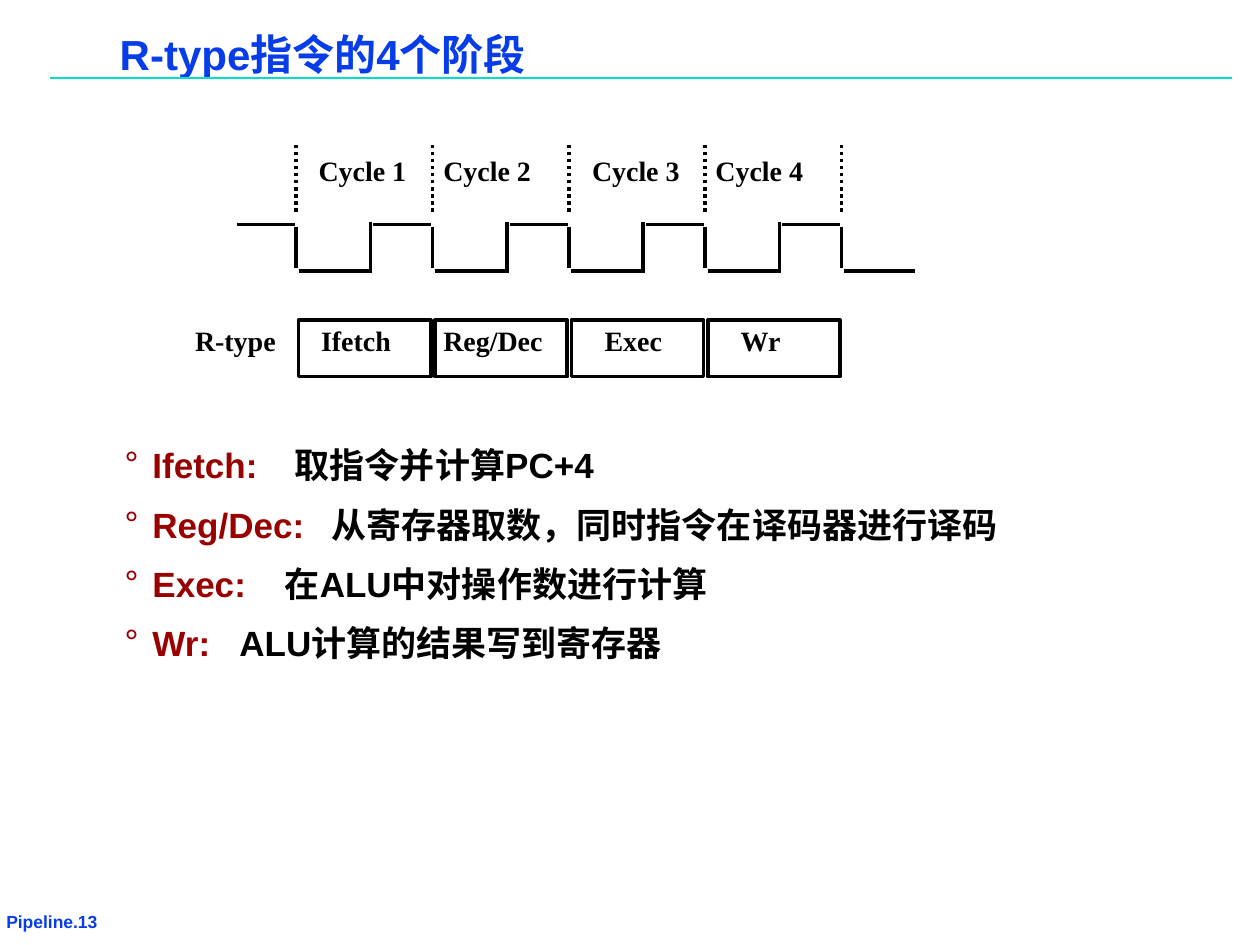
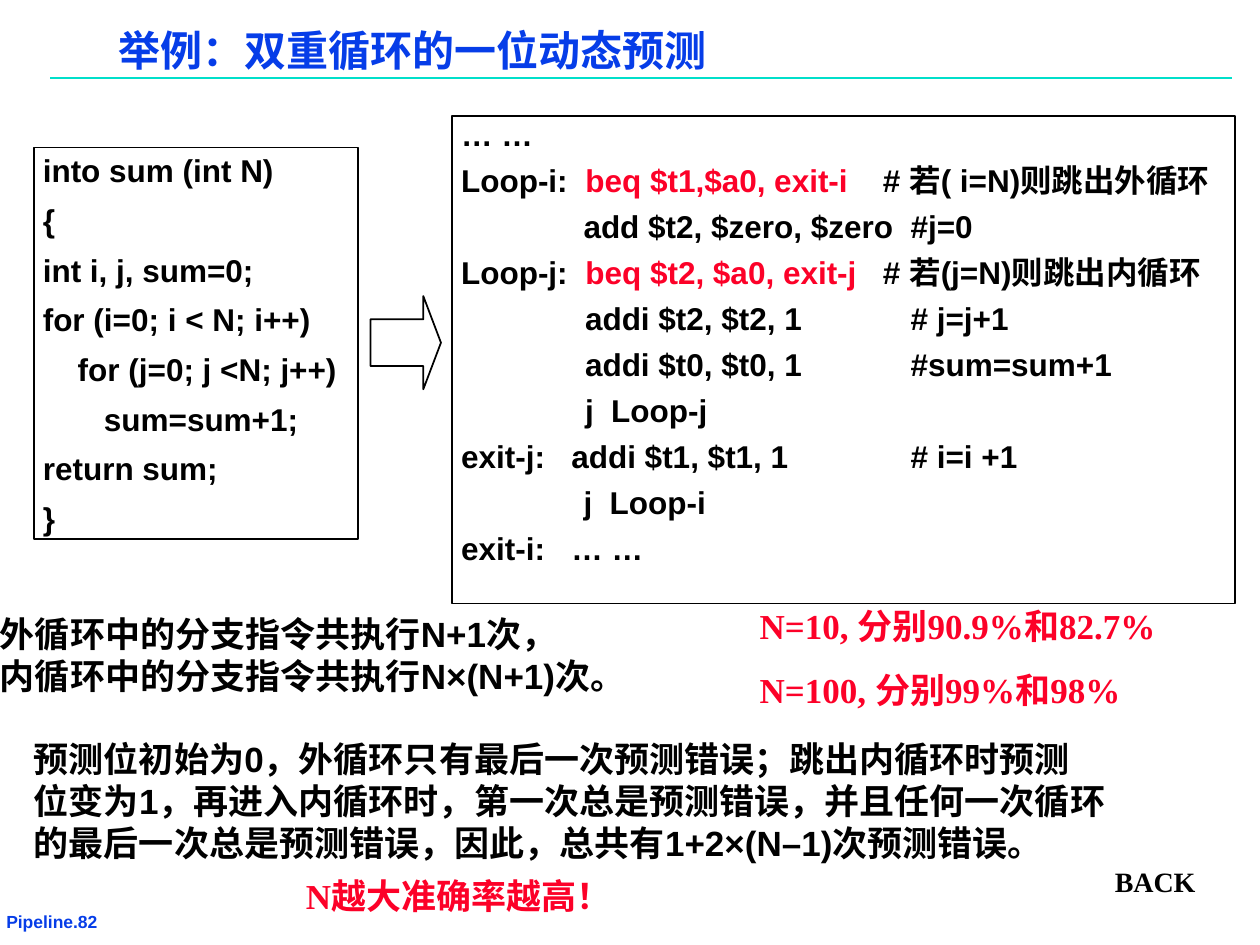
from lxml import etree
from pptx import Presentation
from pptx.dml.color import RGBColor
from pptx.enum.dml import MSO_LINE
from pptx.enum.shapes import MSO_CONNECTOR, MSO_SHAPE
from pptx.enum.text import MSO_ANCHOR, MSO_AUTO_SIZE, PP_ALIGN
from pptx.oxml.ns import qn
from pptx.util import Inches, Pt

STRAIGHT = MSO_CONNECTOR.STRAIGHT
RECT, RIGHT_ARROW = MSO_SHAPE.RECTANGLE, MSO_SHAPE.RIGHT_ARROW
DOTTED = MSO_LINE.ROUND_DOT
TOP, MIDDLE = MSO_ANCHOR.TOP, MSO_ANCHOR.MIDDLE

BLUE = RGBColor(0x06, 0x3D, 0xE8)
TEAL = RGBColor(0x00, 0xDF, 0xCA)
BLACK = RGBColor(0x00, 0x00, 0x00)
DARK_RED = RGBColor(0x99, 0x00, 0x00)
RED = RGBColor(0xFC, 0x01, 0x28)

SANS, SERIF = "Arial", "Times New Roman"
TIGHT, NORMAL, NONE = (0.07, 0.03), (0.1, 0.05), (0, 0)
INDENT = 0.22

# Clock diagram geometry
CYCLES = 4
CLOCK_START, CLOCK_END = 2.35, 6.68
PERIOD = (CLOCK_END - CLOCK_START) / CYCLES
HIGH_Y, LOW_Y = 1.78, 2.15

CYCLE_LABELS = [("Cycle 1", 2.43), ("Cycle 2", 3.42),
                ("Cycle 3", 4.6), ("Cycle 4", 5.58)]
STAGE_LABELS = [("R-type", 1.45, 0.84), ("Ifetch", 2.45, 0.75),
                ("Reg/Dec", 3.42, 0.99), ("Exec", 4.7, 0.65),
                ("Wr", 5.78, 0.52)]

# Stage name, explanation, tab stop between them
STAGES = [("Ifetch:", "取指令并计算PC+4", 1.35),
          ("Reg/Dec:", "从寄存器取数，同时指令在译码器进行译码", 1.64),
          ("Exec:", "在ALU中对操作数进行计算", 1.27),
          ("Wr:", "ALU计算的结果写到寄存器", 0.91)]

C_CODE = ["into sum (int N)", "{", "int i, j, sum=0;",
          "for (i=0; i < N; i++)", "    for (j=0; j <N; j++)",
          "       sum=sum+1;", "return sum;", "}"]

ASSEMBLY = [
    "… …",
    [("Loop-i:  ", BLACK), ("beq $t1,$a0, exit-i", RED),
     ("    # 若( i=N)则跳出外循环", BLACK)],
    "              add $t2, $zero, $zero  #j=0",
    [("Loop-j:  ", BLACK), ("beq $t2, $a0, exit-j", RED),
     ("   # 若(j=N)则跳出内循环", BLACK)],
    "\t           addi $t2, $t2, 1\t     # j=j+1",
    "\t           addi $t0, $t0, 1\t     #sum=sum+1",
    "\t           j  Loop-j",
    "exit-j:   addi $t1, $t1, 1\t     # i=i +1",
    "              j  Loop-i",
    "exit-i:   … …",
]


def set_frame(tf, insets, anchor=TOP, wrap=True):
    tf.word_wrap = wrap
    tf.auto_size = MSO_AUTO_SIZE.NONE
    tf.vertical_anchor = anchor
    tf.margin_left = tf.margin_right = Inches(insets[0])
    tf.margin_top = tf.margin_bottom = Inches(insets[1])


def write(tf, paras, size, color=BLACK, font=SANS, before=0, spacing=None):
    """Fill a frame; a paragraph is a string or a list of (text, colour)."""
    for i, para in enumerate(paras):
        p = tf.paragraphs[0] if i == 0 else tf.add_paragraph()
        p.alignment = PP_ALIGN.LEFT
        p.space_before = Pt(before if i else 0)
        if spacing:
            p.line_spacing = spacing
        if isinstance(para, str):
            p.text = para
            colors = [color] * len(p.runs)
        else:
            for text, _ in para:
                p.add_run().text = text
            colors = [c for _, c in para]
        for r, c in zip(p.runs, colors):
            r.font.name, r.font.size, r.font.bold = font, Pt(size), True
            r.font.color.rgb = c


def hang(p):
    """Hanging indent with default tabs one inch apart."""
    pPr = p._p.get_or_add_pPr()
    pPr.set("marL", str(Inches(INDENT)))
    pPr.set("indent", str(-Inches(INDENT)))
    pPr.set("defTabSz", str(Inches(1)))
    return pPr


def add_bullet(p, char, tab):
    """Hanging bullet and one tab stop."""
    pPr = hang(p)
    clr = etree.SubElement(pPr, qn("a:buClr"))
    etree.SubElement(clr, qn("a:srgbClr"), val=str(DARK_RED))
    etree.SubElement(pPr, qn("a:buFont"), typeface=SANS)
    etree.SubElement(pPr, qn("a:buChar"), char=char)
    tab_list = etree.SubElement(pPr, qn("a:tabLst"))
    etree.SubElement(tab_list, qn("a:tab"), pos=str(Inches(tab)), algn="l")


def add_text(s, box, paras, size, insets=NORMAL, anchor=TOP, wrap=True, **style):
    tf = s.shapes.add_textbox(*map(Inches, box)).text_frame
    set_frame(tf, insets, anchor, wrap)
    write(tf, paras, size, **style)
    return tf


def add_label(s, text, x, y, w):
    add_text(s, (x, y, w, 0.36), [text], 16, wrap=False, font=SERIF)


def add_outline(s, shape, box, width):
    sp = s.shapes.add_shape(shape, *map(Inches, box))
    sp.shadow.inherit = False
    sp.fill.background()
    sp.line.color.rgb = BLACK
    sp.line.width = Pt(width)
    return sp


def add_line(s, x1, y1, x2, y2, color=BLACK, width=2, dash=None):
    ln = s.shapes.add_connector(STRAIGHT, *map(Inches, (x1, y1, x2, y2)))
    ln.line.color.rgb = color
    ln.line.width = Pt(width)
    if dash:
        ln.line.dash_style = dash
    etree.SubElement(ln._element.spPr, qn("a:effectLst"))


def add_code(s, box, lines, spacing=None):
    tf = add_outline(s, RECT, box, 1).text_frame
    set_frame(tf, TIGHT)
    write(tf, lines, 18, before=6.8, spacing=spacing)
    for p in tf.paragraphs:
        hang(p)


def new_slide(prs, title, box, number):
    """Slide with the shared title style, rule and page label."""
    s = prs.slides.add_slide(prs.slide_layouts[5])
    add_line(s, 0.4, 0.62, 9.78, 0.62, TEAL, 1)
    add_text(s, (-0.02, 7.2, 1.38, 0.22), [f"Pipeline.{number}"], 10,
             insets=TIGHT, color=BLUE)
    sp = s.shapes.title
    sp.left, sp.top, sp.width, sp.height = map(Inches, box)
    set_frame(sp.text_frame, TIGHT)
    write(sp.text_frame, [title], 24, color=BLUE, spacing=0.87)
    return s


def add_clock(s):
    for i in range(CYCLES + 1):
        x = CLOCK_START + i * PERIOD
        add_line(s, x, 1.68, x, 1.15, dash=DOTTED)
        add_line(s, x - 0.47, HIGH_Y, x - 0.01, HIGH_Y)
        add_line(s, x, 1.8, x, 2.13)
        add_line(s, x + 0.02, LOW_Y, x + 0.58, LOW_Y)
        if i < CYCLES:
            add_line(s, x + 0.59, 2.17, x + 0.59, 1.76)
            add_outline(s, RECT, (x + 0.02, 2.54, 1.05, 0.45), 2)
    for text, x in CYCLE_LABELS:
        add_label(s, text, x, 1.17, 0.89)
    for text, x, w in STAGE_LABELS:
        add_label(s, text, x, 2.52, w)


def build_stages(prs):
    s = new_slide(prs, "R-type指令的4个阶段", (0.88, 0.25, 5.85, 0.4), 13)
    paras = [[(name + "\t", DARK_RED), (text, BLACK)] for name, text, _ in STAGES]
    tf = add_text(s, (0.92, 3.46, 7.83, 1.97), paras, 20, insets=TIGHT,
                  before=7.5, spacing=1.1)
    for p, (_, _, tab) in zip(tf.paragraphs, STAGES):
        add_bullet(p, "°", tab)
    add_clock(s)


def build_prediction(prs):
    s = new_slide(prs, "举例：双重循环的一位动态预测", (0.87, 0.22, 7.51, 0.4), 82)

    # Source code, arrow, assembly
    add_code(s, (0.27, 1.17, 2.57, 3.11), C_CODE)
    add_code(s, (3.59, 0.92, 6.21, 3.87), ASSEMBLY, 0.9)
    arrow = add_outline(s, RIGHT_ARROW, (2.94, 2.35, 0.56, 0.74), 1)
    arrow.adjustments[0], arrow.adjustments[1] = 0.5, 0.25

    # Analysis
    add_text(s, (0, 4.86, 5.53, 0.67),
             ["外循环中的分支指令共执行N+1次，", "内循环中的分支指令共执行N×(N+1)次。"],
             20, insets=NONE, anchor=MIDDLE)
    add_text(s, (0.17, 5.8, 8.91, 1.1),
             ["预测位初始为0，外循环只有最后一次预测错误；跳出内循环时预测\v"
              "位变为1，再进入内循环时，第一次总是预测错误，并且任何一次循环"
              "的最后一次总是预测错误，因此，总共有1+2×(N–1)次预测错误。"],
             20, anchor=MIDDLE)

    # Accuracy results
    add_text(s, (5.93, 4.75, 3.69, 0.94),
             ["N=10, 分别90.9%和82.7%", "N=100, 分别99%和98%"],
             20, color=RED, font=SERIF, before=12.5)
    add_text(s, (2.33, 6.89, 3.26, 0.44), ["N越大准确率越高！"], 20,
             color=RED, font=SERIF)
    add_text(s, (8.75, 6.81, 1.06, 0.37), ["BACK"], 16, font=SERIF)


def main():
    prs = Presentation()
    prs.slide_width, prs.slide_height = Inches(10), Inches(7.5)
    build_stages(prs)
    build_prediction(prs)
    prs.save("out.pptx")


if __name__ == "__main__":
    main()
